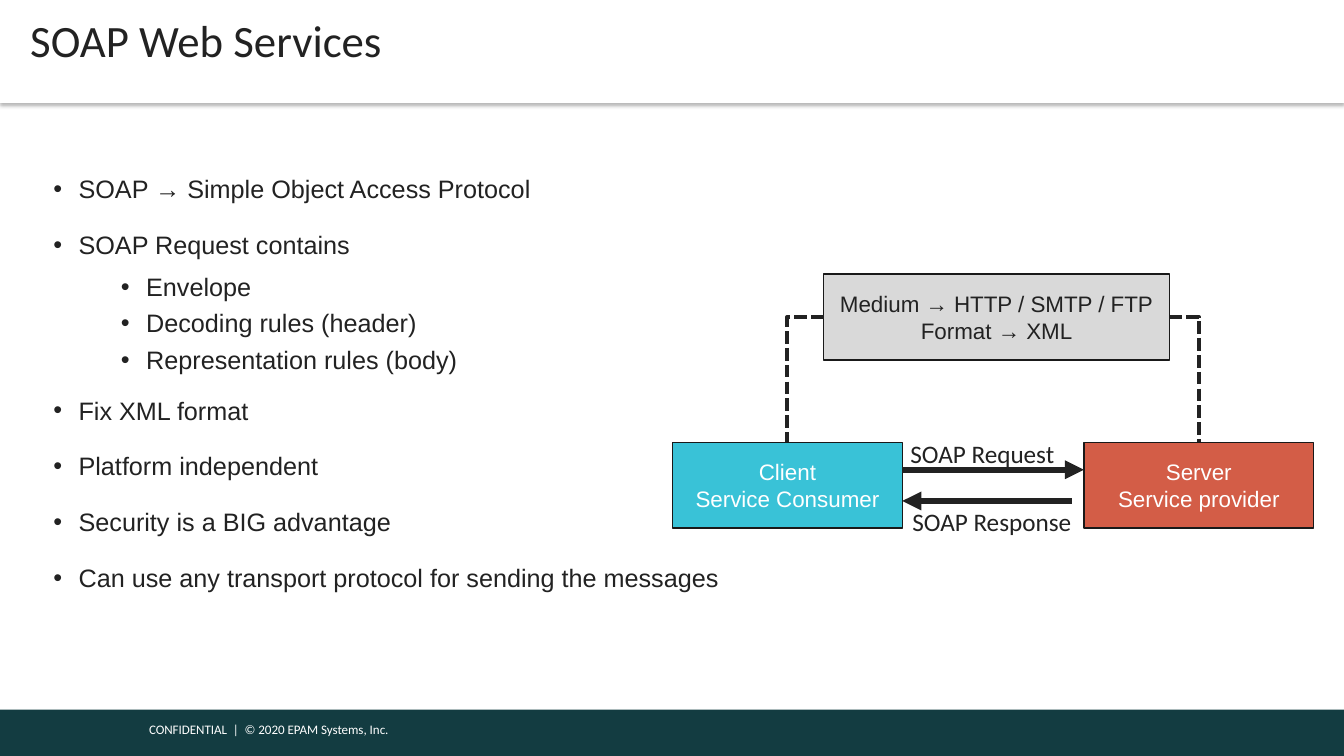
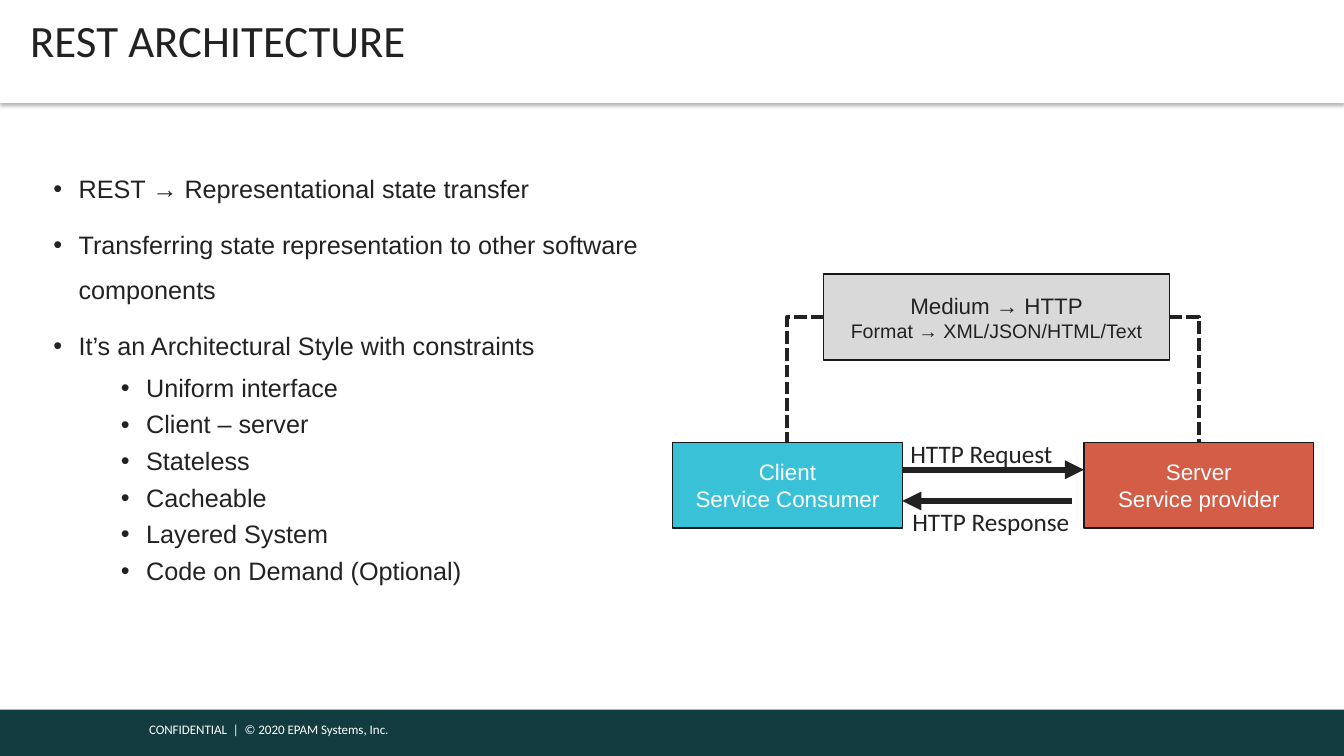
"""Build two slides that compare SOAP web services with the REST architecture."""
from lxml import etree
from pptx import Presentation
from pptx.dml.color import RGBColor
from pptx.enum.dml import MSO_LINE
from pptx.enum.shapes import MSO_CONNECTOR, MSO_SHAPE
from pptx.enum.text import MSO_ANCHOR, MSO_AUTO_SIZE, PP_ALIGN
from pptx.oxml.ns import qn
from pptx.util import Inches, Pt

RECT = MSO_SHAPE.RECTANGLE
STRAIGHT, ELBOW = MSO_CONNECTOR.STRAIGHT, MSO_CONNECTOR.ELBOW
MIDDLE, CENTER = MSO_ANCHOR.MIDDLE, PP_ALIGN.CENTER
GROW = MSO_AUTO_SIZE.SHAPE_TO_FIT_TEXT
DASH = MSO_LINE.SQUARE_DOT
TOP, LEFT, RIGHT = 0, 1, 3
COLORS = {
    "white": "FFFFFF", "text": "222222", "outline": "191919", "footer": "133C41",
    "client": "39C2D7", "server": "D35D47", "medium": "D9D9D9", "shadow": "000000",
}
HEAD_FONT, BODY_FONT = "Calibri", "Arial"
WIDTH, HEIGHT = 13.33, 7.5


def rgb(name):
    return RGBColor.from_string(COLORS[name])


class Deck:
    def __init__(self):
        self.prs = Presentation()
        self.prs.slide_width, self.prs.slide_height = Inches(WIDTH), Inches(HEIGHT)
        self.s = None

    def slide(self, title):
        self.s = self.prs.slides.add_slide(self.prs.slide_layouts[6])
        self.rect(0, 7.04, WIDTH, 0.46, "footer")
        self.label(1.38, 7.11, 3.53, 0.26, "CONFIDENTIAL  |  © 2020 EPAM Systems, Inc.",
                   9.3, "white", wrap=True)
        self.title(title)

    def run(self, p, text, size, font, color):
        r = p.add_run()
        r.text = text
        r.font.size, r.font.name = Pt(size), font
        r.font.color.rgb = rgb(color)

    def rect(self, x, y, w, h, fill, line=None):
        sp = self.s.shapes.add_shape(RECT, Inches(x), Inches(y), Inches(w), Inches(h))
        sp.shadow.inherit = False
        sp.fill.solid()
        sp.fill.fore_color.rgb = rgb(fill)
        if line:
            sp.line.color.rgb = rgb(line)
            sp.line.width = Pt(1)
        else:
            sp.line.fill.background()
        return sp

    def title(self, text):
        sp = self.rect(0, 0, WIDTH, 1.02, "white")
        effects = sp.element.spPr.find(qn("a:effectLst"))
        shadow = etree.SubElement(effects, qn("a:outerShdw"), blurRad=str(Pt(3.1)),
                                  dist=str(Pt(2)), dir="5400000", rotWithShape="0")
        color = etree.SubElement(shadow, qn("a:srgbClr"), val=COLORS["shadow"])
        etree.SubElement(color, qn("a:alpha"), val="30000")
        tf = sp.text_frame
        tf.vertical_anchor = MIDDLE
        tf.margin_left, tf.margin_right = Inches(0.3), Inches(0.07)
        tf.margin_top = tf.margin_bottom = Inches(0.04)
        p = tf.paragraphs[0]
        p.alignment = PP_ALIGN.LEFT
        p.line_spacing, p.space_after = Pt(21.3), Pt(4)
        self.run(p, text, 32, HEAD_FONT, "text")

    def label(self, x, y, w, h, text, size=18, color="text", wrap=False):
        tf = self.s.shapes.add_textbox(Inches(x), Inches(y), Inches(w), Inches(h)).text_frame
        tf.word_wrap, tf.auto_size = wrap, GROW
        self.run(tf.paragraphs[0], text, size, HEAD_FONT, color)

    def bullets(self, items):
        tf = self.s.shapes.add_textbox(Inches(0.53), Inches(1.57),
                                       Inches(7.06), Inches(4.95)).text_frame
        tf.word_wrap = True
        tf.margin_left = tf.margin_right = tf.margin_top = tf.margin_bottom = 0
        for i, (level, text) in enumerate(items):
            p = tf.add_paragraph() if i else tf.paragraphs[0]
            indent, spacing, before, after = ((0.25, 1.5, 3.5, 4), (0.92, 0.9, 6.7, 0))[level]
            p.level, p.line_spacing = level, spacing
            p.space_before, p.space_after = Pt(before if i else 0), Pt(after)
            pPr = p._p.get_or_add_pPr()
            pPr.set("marL", str(Inches(indent)))
            pPr.set("indent", str(Inches(-0.25)))
            etree.SubElement(pPr, qn("a:buFont"), typeface=BODY_FONT)
            etree.SubElement(pPr, qn("a:buChar"), char="•")
            self.run(p, text, 18, BODY_FONT, "text")

    def box(self, x, y, w, fill, color, lines):
        sp = self.rect(x, y, w, 0.85, fill, "outline")
        tf = sp.text_frame
        tf.word_wrap, tf.vertical_anchor = True, MIDDLE
        for i, (text, size) in enumerate(lines):
            p = tf.add_paragraph() if i else tf.paragraphs[0]
            p.alignment = CENTER
            self.run(p, text, size, BODY_FONT, color)
        return sp

    def connector(self, kind, width, x1=0, y1=0, x2=0, y2=0):
        c = self.s.shapes.add_connector(kind, Inches(x1), Inches(y1), Inches(x2), Inches(y2))
        c.line.color.rgb = rgb("text")
        c.line.width = Pt(width)
        etree.SubElement(c.element.spPr, qn("a:effectLst"))
        return c

    def arrow(self, x1, x2, y):
        c = self.connector(STRAIGHT, 4.5, x1, y, x2, y)
        etree.SubElement(c.line._get_or_add_ln(), qn("a:tailEnd"), type="triangle")

    def dashed_elbow(self, start, side, end):
        c = self.connector(ELBOW, 3)
        c.line.dash_style = DASH
        c.begin_connect(start, side)
        c.end_connect(end, TOP)
        c.element.spPr.find(qn("a:prstGeom")).set("prst", "bentConnector2")

    def exchange(self, protocol, medium_lines):
        client = self.box(6.67, 4.39, 2.28, "client", "white",
                          [("Client", 16), ("Service Consumer", 16)])
        server = self.box(10.75, 4.39, 2.28, "server", "white",
                          [("Server", 16), ("Service provider", 16)])
        self.arrow(8.95, 10.75, 4.66)
        self.label(8.93, 4.3, 1.65, 0.4, f"{protocol} Request")
        self.arrow(10.63, 8.95, 4.97)
        self.label(8.95, 4.97, 1.8, 0.4, f"{protocol} Response")
        medium = self.box(8.17, 2.72, 3.43, "medium", "text", medium_lines)
        self.dashed_elbow(medium, LEFT, client)
        self.dashed_elbow(medium, RIGHT, server)


def main():
    deck = Deck()
    deck.slide("SOAP Web Services")
    deck.bullets([
        (0, "SOAP → Simple Object Access Protocol"),
        (0, "SOAP Request contains"),
        (1, "Envelope"),
        (1, "Decoding rules (header)"),
        (1, "Representation rules (body)"),
        (0, "Fix XML format"),
        (0, "Platform independent"),
        (0, "Security is a BIG advantage"),
        (0, "Can use any transport protocol for sending the messages"),
    ])
    deck.exchange("SOAP", [("Medium → HTTP / SMTP / FTP", 16), ("Format → XML", 16)])

    deck.slide("REST ARCHITECTURE")
    deck.bullets([
        (0, "REST → Representational state transfer"),
        (0, "Transferring state representation to other software components"),
        (0, "It’s an Architectural Style with constraints"),
        (1, "Uniform interface"),
        (1, "Client – server"),
        (1, "Stateless"),
        (1, "Cacheable"),
        (1, "Layered System"),
        (1, "Code on Demand (Optional)"),
    ])
    deck.exchange("HTTP", [("Medium → HTTP", 16), ("Format → XML/JSON/HTML/Text", 14)])
    deck.prs.save("out.pptx")


if __name__ == "__main__":
    main()
